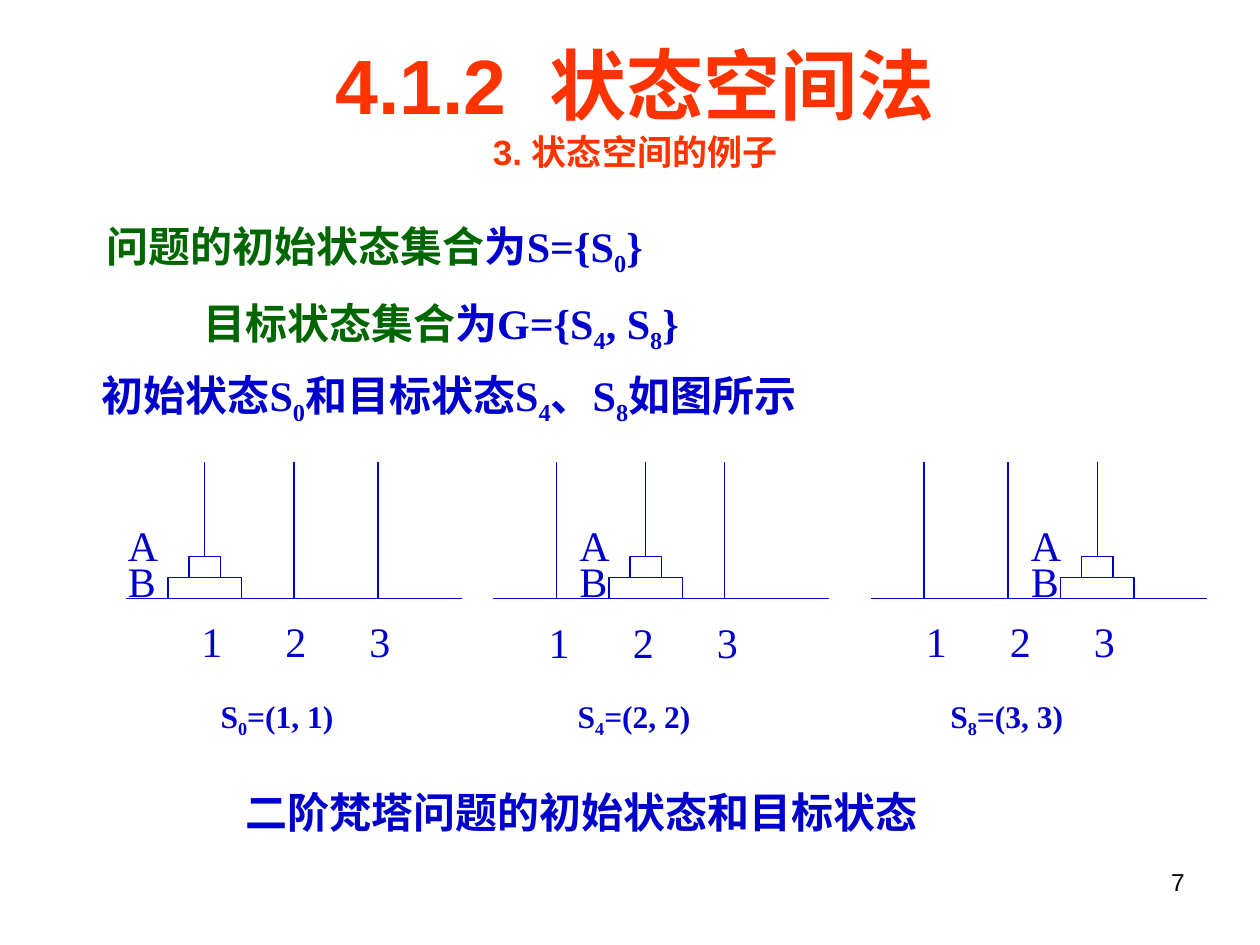
from pptx import Presentation
from pptx import util as u
from pptx.dml import color as col
from pptx.enum import shapes, text as t
from pptx.oxml import ns
from lxml import etree

INK = {"blue": "0000CC", "green": "006600", "red": "FF3300", "black": "000000"}
SERIF, SANS = "Times New Roman", "Arial"

# Heights shared by the three towers, in points
TOP, BASE, DISK = 264, 342, 12
GROUND = 192

# ground left, peg positions, occupied peg, label left, digit box, caption, state
TOWERS = [
    (72, (117, 168, 216), 0, 66, (96, 348), 119, "S_0=(1, 1)"),
    (282, (318, 369, 414), 1, 324, (294.5, 349), 323, "S_4=(2, 2)"),
    (498, (528, 576, 627), 2, 582, (510, 348), 536, "S_8=(3, 3)"),
]


def rgb(name):
    return col.RGBColor.from_string(INK[name])


def add_run(para, words, size, ink, font, bold, sub=False, gap=0):
    run = para.add_run()
    run.text = words
    run.font.size = u.Pt(size)
    run.font.name = font
    run.font.bold = bold
    run.font.color.rgb = rgb(ink)
    props = run._r.get_or_add_rPr()
    if sub:
        props.set("baseline", "-25000")
    if gap:
        props.set("spc", str(gap * 100))


def add_tabs(para, stops):
    tabs = etree.SubElement(para._p.get_or_add_pPr(), ns.qn("a:tabLst"))
    for stop in stops:
        etree.SubElement(tabs, ns.qn("a:tab"), pos=str(u.Pt(stop)), algn="l")


def add_text(slide, box, paras, size=24, ink="blue", font=SERIF, bold=False,
             align=t.PP_ALIGN.LEFT, before=0, line=None, stops=()):
    """Each paragraph is a string or a list of (words, changes) parts.

    The character after an underscore is set as a subscript.
    """
    frame = slide.shapes.add_textbox(*map(u.Pt, box)).text_frame
    frame.word_wrap = True
    for i, parts in enumerate(paras):
        para = frame.add_paragraph() if i else frame.paragraphs[0]
        para.alignment = align
        if stops:
            add_tabs(para, stops)
        if line:
            para.line_spacing = line
        if i and before:
            para.space_before = u.Pt(before)
        if isinstance(parts, str):
            parts = [(parts, {})]
        for words, changes in parts:
            style = dict(size=size, ink=ink, font=font, bold=bold) | changes
            first, *rest = words.split("_")
            add_run(para, first, **style)
            for piece in rest:
                add_run(para, piece[0], sub=True, **style)
                if piece[1:]:
                    add_run(para, piece[1:], **style)
    return frame


def add_line(slide, x1, y1, x2, y2):
    line = slide.shapes.add_connector(
        shapes.MSO_CONNECTOR.STRAIGHT, *map(u.Pt, (x1, y1, x2, y2)))
    line.line.color.rgb = rgb("blue")
    line.line.width = u.Pt(0.75)
    etree.SubElement(line._element.spPr, ns.qn("a:effectLst"))
    return line


def add_disk(slide, mid, top, width):
    disk = slide.shapes.add_shape(
        shapes.MSO_SHAPE.RECTANGLE,
        *map(u.Pt, (mid - width / 2, top, width, DISK)))
    disk.shadow.inherit = False
    disk.fill.background()
    disk.line.color.rgb = rgb("blue")
    disk.line.width = u.Pt(0.75)
    return disk


def add_tower(slide, left, pegs, full, label, digits, caption, state):
    add_line(slide, left, BASE, left + GROUND, BASE)
    for i, x in enumerate(pegs):
        if i == full:
            add_disk(slide, x, BASE - DISK, 42)
            small = add_disk(slide, x, BASE - 2 * DISK, 18)
            rod = add_line(slide, x, BASE - 2 * DISK, x, TOP)
            rod.begin_connect(small, 0)
        else:
            add_line(slide, x, BASE, x, TOP)
    add_text(slide, (label, 306, 30, 42.5), ["A", "B"], before=6, line=0.5)
    add_text(slide, (*digits, 156, 36), ["\t1\t2\t3"], stops=(12, 60, 108))
    add_text(slide, (caption, 394.5, 92, 31.5), [state], size=18, bold=True)


def main():
    prs = Presentation()
    prs.slide_width, prs.slide_height = u.Pt(720), u.Pt(540)
    slide = prs.slides.add_slide(prs.slide_layouts[6])

    # Title
    add_text(slide, (85, 18, 556, 84),
             [[("4.1.2", {}), (" ", {"gap": 12}), ("状态空间法", {})],
              [("3. 状态空间的例子", {"size": 20})]],
             size=44, ink="red", font=SANS, bold=True,
             align=t.PP_ALIGN.CENTER)

    # Statement of the problem
    green = {"ink": "green"}
    sets = add_text(slide, (54, 122.4, 590, 84),
                    [[("问题的初始状态集合", green), ("为S={S_0}", {})],
                     [("目标状态集合", green), ("为G={S_4, S_8}", {})]],
                    bold=True, before=11.2)
    sets.paragraphs[1]._p.get_or_add_pPr().set("marL", str(u.Pt(55)))
    add_text(slide, (51, 207.4, 623.5, 40),
             ["初始状态S_0和目标状态S_4、S_8如图所示"], bold=True)

    # Towers and their caption
    for tower in TOWERS:
        add_tower(slide, *tower)
    add_text(slide, (133, 445.7, 425.5, 36),
             ["二阶梵塔问题的初始状态和目标状态"], bold=True)

    # Page number
    add_text(slide, (516, 492, 168, 37.5), ["7"], size=14, ink="black",
             font=SANS, align=t.PP_ALIGN.RIGHT)

    prs.save("out.pptx")


if __name__ == "__main__":
    main()
